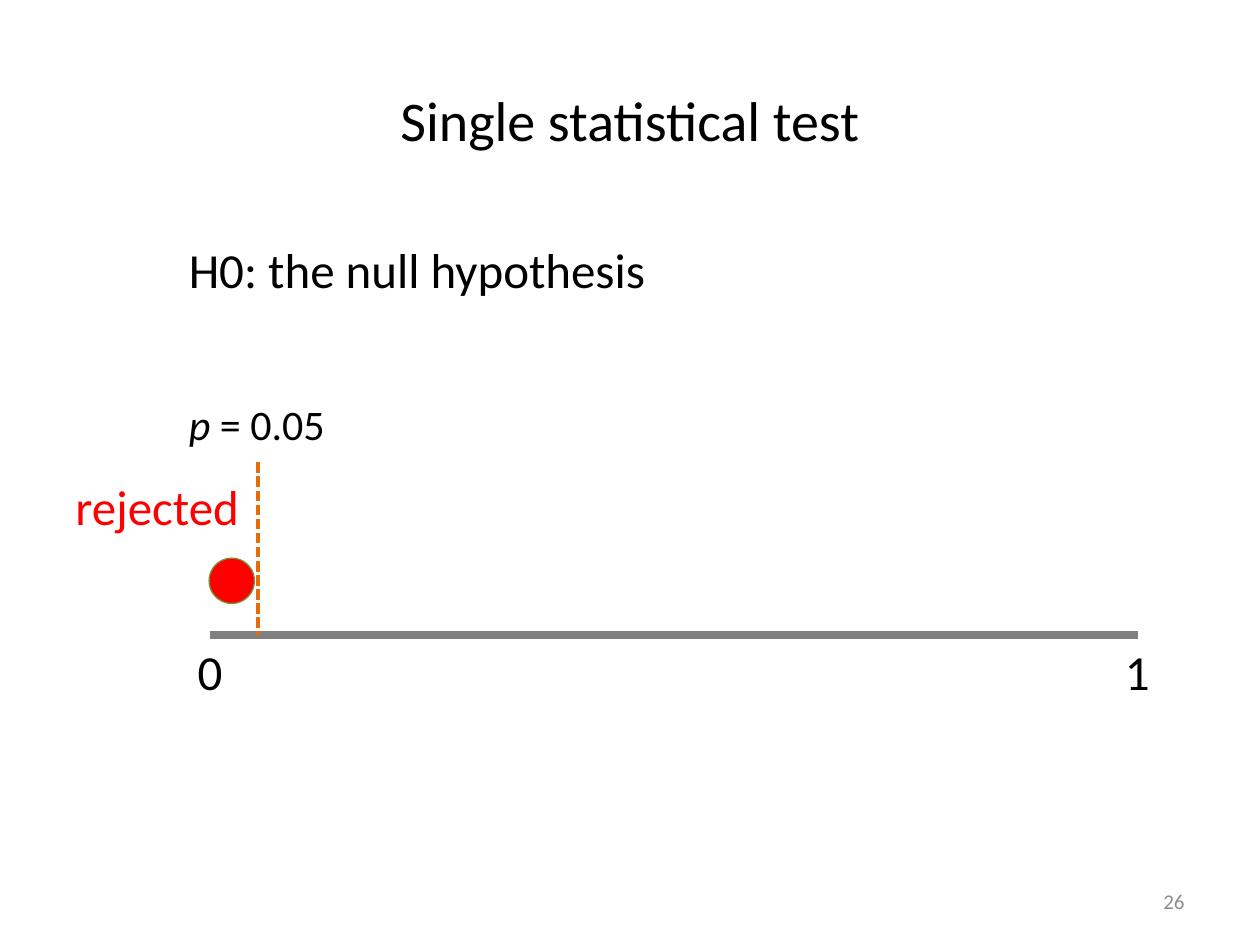
from dataclasses import dataclass

import pptx
import pptx.util
import pptx.dml.color
import pptx.enum.dml
import pptx.enum.shapes
import pptx.enum.text
import pptx.oxml

RGB = pptx.dml.color.RGBColor
ALIGN = pptx.enum.text.PP_ALIGN
ANCHOR = pptx.enum.text.MSO_ANCHOR
DASH = pptx.enum.dml.MSO_LINE_DASH_STYLE

BLACK = RGB(0x00, 0x00, 0x00)
RED = RGB(0xFF, 0x00, 0x00)
GREY = RGB(0x80, 0x80, 0x80)
PALE_GREY = RGB(0x8C, 0x8C, 0x8C)
ORANGE = RGB(0xE4, 0x6C, 0x0A)
GREEN = RGB(0x77, 0x93, 0x3C)

FONT = "Calibri"
WIDTH, HEIGHT = 10, 7.5

# The p-value axis, in inches
AXIS_LEFT, AXIS_RIGHT, AXIS_Y = 1.67, 9.03, 5.04
THRESHOLD = 2.05
TEXT_LEFT = 1.4
TICK_WIDTH = 0.4
LABEL_HEIGHT = 0.57


@dataclass
class Label:
    text: str
    left: float
    top: float
    width: float
    height: float = LABEL_HEIGHT
    size: int = 28
    color: RGB = BLACK
    align: ALIGN = ALIGN.LEFT
    anchor: ANCHOR = ANCHOR.TOP
    wrap: bool = False
    italic_start: str = ""


@dataclass
class Line:
    x1: float
    y1: float
    x2: float
    y2: float
    color: RGB
    width: float
    dash: DASH = DASH.SOLID


def tick(text: str, x: float) -> Label:
    """Label centred under a point of the axis."""
    return Label(text, x - TICK_WIDTH / 2, AXIS_Y, TICK_WIDTH)


def add_label(s, label: Label) -> None:
    box = (label.left, label.top, label.width, label.height)
    sp = s.shapes.add_textbox(*map(pptx.util.Inches, box))
    tf = sp.text_frame
    tf.word_wrap = label.wrap
    tf.vertical_anchor = label.anchor
    p = tf.paragraphs[0]
    p.alignment = label.align
    for text, italic in ((label.italic_start, True), (label.text, False)):
        if text:
            r = p.add_run()
            r.text = text
            r.font.name = FONT
            r.font.size = pptx.util.Pt(label.size)
            r.font.color.rgb = label.color
            r.font.italic = italic


def add_line(s, line: Line) -> None:
    ends = (line.x1, line.y1, line.x2, line.y2)
    sp = s.shapes.add_connector(
        pptx.enum.shapes.MSO_CONNECTOR.STRAIGHT, *map(pptx.util.Inches, ends))
    sp.line.color.rgb = line.color
    sp.line.width = pptx.util.Pt(line.width)
    sp.line.dash_style = line.dash
    sp._element.spPr.append(pptx.oxml.parse_xml(
        '<a:effectLst xmlns:a='
        '"http://schemas.openxmlformats.org/drawingml/2006/main"/>'))


def add_dot(s, left: float, top: float, size: float) -> None:
    sp = s.shapes.add_shape(
        pptx.enum.shapes.MSO_SHAPE.OVAL,
        *map(pptx.util.Inches, (left, top, size, size)))
    sp.shadow.inherit = False
    sp.fill.solid()
    sp.fill.fore_color.rgb = RED
    sp.line.color.rgb = GREEN
    sp.line.width = pptx.util.Pt(0.75)


LABELS = [
    Label("Single statistical test", 0.05 * WIDTH, 0.06 * HEIGHT,
          0.9 * WIDTH, 0.99, 32, align=ALIGN.CENTER,
          anchor=ANCHOR.MIDDLE, wrap=True),
    Label("H0: the null hypothesis", TEXT_LEFT, 1.85, 3.87),
    Label(" = 0.05", TEXT_LEFT, 3.11, 1.31, 0.5, 24, italic_start="p"),
    Label("rejected", 0.05 * WIDTH, 3.73, 1.52, color=RED),
    tick("0", AXIS_LEFT),
    tick("1", AXIS_RIGHT),
    Label("26", 7.17, 6.95, 2.33, 0.4, 12, PALE_GREY, ALIGN.RIGHT,
          ANCHOR.MIDDLE, True),
]


def main() -> None:
    prs = pptx.Presentation()
    prs.slide_width = pptx.util.Inches(WIDTH)
    prs.slide_height = pptx.util.Inches(HEIGHT)
    s = prs.slides.add_slide(prs.slide_layouts[6])

    # Axis, test result and rejection threshold
    add_line(s, Line(AXIS_LEFT, AXIS_Y, AXIS_RIGHT, AXIS_Y, GREY, 4.5))
    add_dot(s, 1.66, 4.43, 0.36)
    add_line(s, Line(THRESHOLD, 3.67, THRESHOLD, AXIS_Y, ORANGE, 2,
                     DASH.SQUARE_DOT))

    # Title, captions, tick labels and page number
    for label in LABELS:
        add_label(s, label)

    prs.save("out.pptx")


if __name__ == "__main__":
    main()
